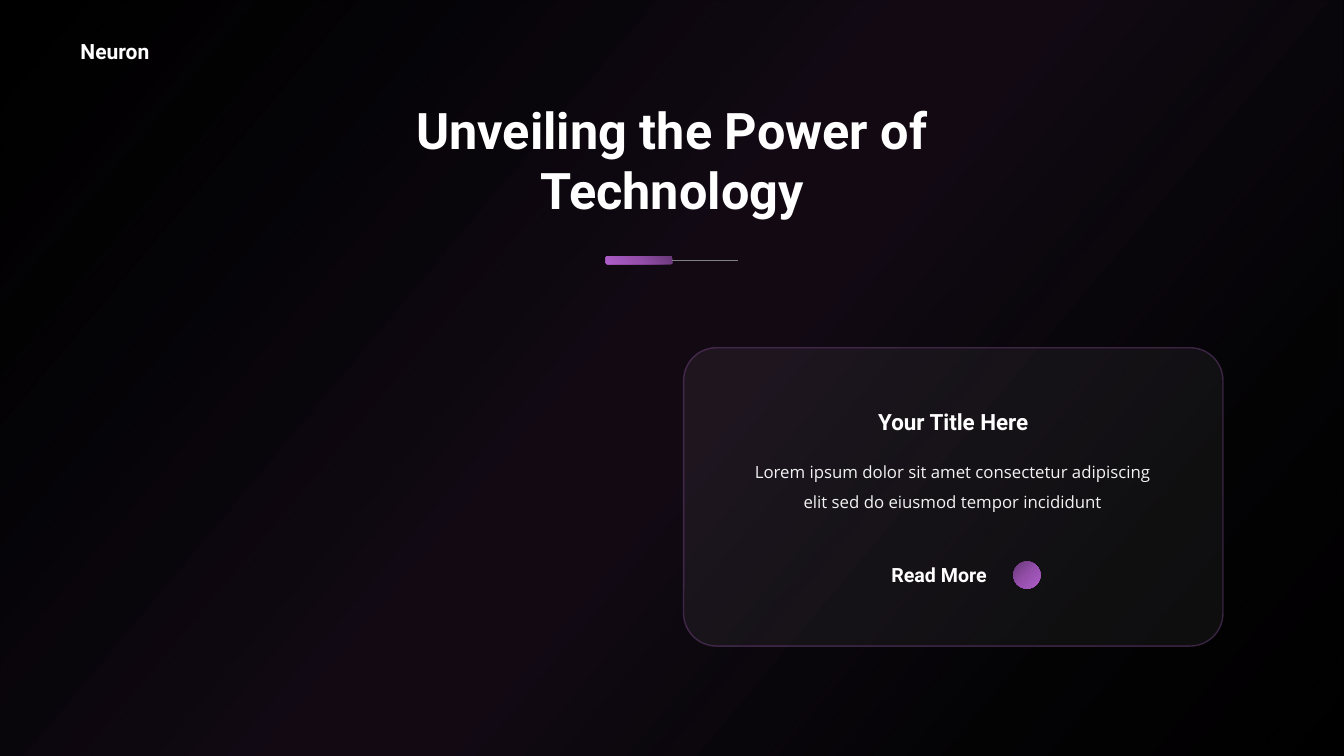
from dataclasses import dataclass

from lxml import etree
from pptx import Presentation
from pptx.dml.color import RGBColor
from pptx.enum import shapes, text
from pptx.oxml import ns
from pptx.util import Inches, Pt


@dataclass(frozen=True)
class Theme:
    heading: str = "Roboto"
    body: str = "Open Sans"
    black: str = "000000"
    white: str = "FFFFFF"
    soft: str = "F2F2F2"
    grey: str = "808080"
    accent: str = "AC65C3"
    glow: tuple = ((2, "381F5F", 0), (45, "AC65C3", 10),
                   (55, "AC65C3", 10), (100, "1F2232", 0))
    purple: tuple = ((0, "683878", 100), (50, "944FAA", 100),
                     (100, "B05ECA", 100))
    title: int = 36
    card_title: int = 16
    brand: int = 15
    button: int = 14
    copy: int = 12


T = Theme()
MSO = shapes.MSO_SHAPE
CENTER = text.PP_ALIGN.CENTER


def add_text(words, box, size, font=T.heading, color=T.white, bold=True,
             align=CENTER, spacing=None, sp=None):
    """Write words into sp, or into a new text box when none is given."""
    box = [Inches(v) for v in box]
    if sp is None:
        sp = s.shapes.add_textbox(*box)
    sp.left, sp.top, sp.width, sp.height = box
    tf = sp.text_frame
    tf.word_wrap = True
    tf.auto_size = text.MSO_AUTO_SIZE.NONE
    tf.vertical_anchor = text.MSO_ANCHOR.TOP
    p = tf.paragraphs[0]
    p.alignment = align
    p.line_spacing = spacing
    r = p.add_run()
    r.text = words
    r.font.name, r.font.size, r.font.bold = font, Pt(size), bold
    r.font.color.rgb = RGBColor.from_string(color)


def add_panel(kind, box, stops, angle=0):
    """Add a borderless shape; stops are (position %, colour, opacity %)."""
    sp = s.shapes.add_shape(kind, *[Inches(v) for v in box])
    sp.shadow.inherit = False
    sp.line.fill.background()
    if len(stops) == 1:
        sp.fill.solid()
        holders = [sp.fill._xPr.find(ns.qn("a:solidFill"))]
    else:
        sp.fill.gradient()
        sp.fill.gradient_angle = 360 - angle
        stop_list = sp.fill._xPr.find(ns.qn("a:gradFill")).find(ns.qn("a:gsLst"))
        stop_list.clear()
        holders = [etree.SubElement(stop_list, ns.qn("a:gs"), pos=str(pos * 1000))
                   for pos, _, _ in stops]
    for holder, (_, color, opacity) in zip(holders, stops):
        for child in list(holder):
            holder.remove(child)
        clr = etree.SubElement(holder, ns.qn("a:srgbClr"), val=color)
        etree.SubElement(clr, ns.qn("a:alpha"), val=str(opacity * 1000))
    return sp


prs = Presentation()
prs.slide_width, prs.slide_height = Inches(13.33), Inches(7.5)
s = prs.slides.add_slide(prs.slide_layouts[5])
s.background.fill.solid()
s.background.fill.fore_color.rgb = RGBColor.from_string(T.black)

# Diagonal glow, moved behind the title placeholder
glow = add_panel(MSO.RECTANGLE, (0, 0, 13.33, 7.5), T.glow, 40)
s.shapes.title._element.addprevious(glow._element)

# Header
add_text("Neuron", (0.7, 0.33, 0.97, 0.35), T.brand, align=text.PP_ALIGN.LEFT)
add_text("Unveiling the Power of Technology", (3.34, 0.93, 6.65, 1.31),
         T.title, sp=s.shapes.title)

# Divider
bar = add_panel(MSO.ROUNDED_RECTANGLE, (6.01, 2.54, 0.66, 0.08), T.purple, 135)
rule = s.shapes.add_connector(shapes.MSO_CONNECTOR.STRAIGHT, Inches(7.32),
                              Inches(2.58), Inches(6.67), Inches(2.58))
rule.end_connect(bar, 3)
rule.line.width = Pt(0.5)
rule.line.color.rgb = RGBColor.from_string(T.grey)
etree.SubElement(rule._element.spPr, ns.qn("a:effectLst"))

# Card
card = add_panel(MSO.ROUNDED_RECTANGLE, (6.78, 3.45, 5.35, 2.96),
                 [(0, T.white, 5)])
card.adjustments[0] = 0.11
card.line.width = Pt(1)
card.line.color.rgb = RGBColor.from_string(T.accent)
line_color = card.line.fill._xPr.find(".//" + ns.qn("a:srgbClr"))
etree.SubElement(line_color, ns.qn("a:alpha"), val="30000")

add_text("Your Title Here", (8.49, 4, 1.93, 0.37), T.card_title)
add_text("Lorem ipsum dolor sit amet consectetur adipiscing elit sed do "
         "eiusmod tempor incididunt", (7.34, 4.43, 4.22, 0.67), T.copy,
         font=T.body, color=T.soft, bold=False, spacing=1.5)
add_text("Read More", (8.58, 5.54, 1.47, 0.34), T.button)
add_panel(MSO.OVAL, (10.05, 5.57, 0.27, 0.27), T.purple, 45)

prs.save("out.pptx")
